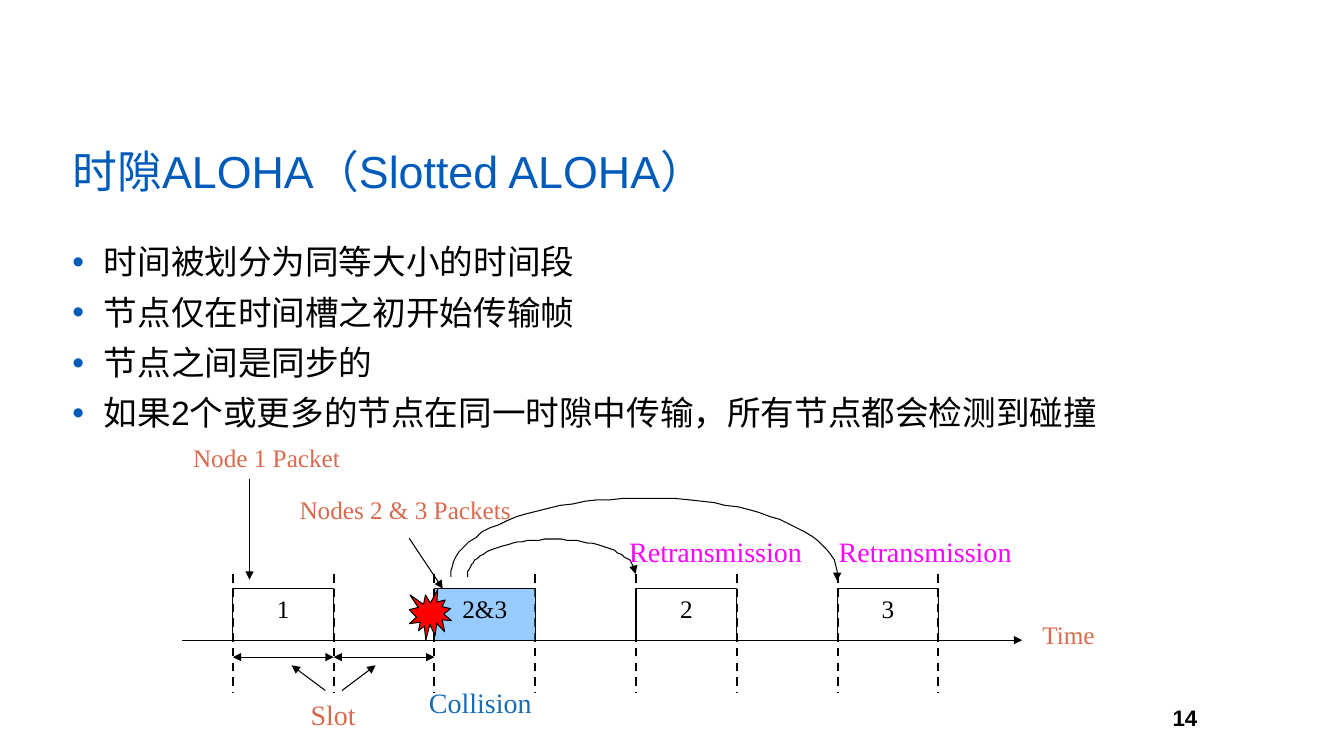
import math

from lxml import etree
from pptx import Presentation
from pptx.dml.color import RGBColor
from pptx.enum import dml, shapes, text
from pptx.oxml.ns import qn
from pptx.util import Pt

SERIF, SANS = "Times New Roman", "Arial"
BLACK, BLUE, ORANGE, MAGENTA = "000000", "005BBB", "D86A4E", "FF00FF"

# Timeline geometry in points
SLOT = 72
FIRST_SLOT = 166.3
AXIS_Y = 457.2
PACKET_TOP = 420.5
MARKER_TOP, MARKER_BOTTOM = 410.2, 494.5
SPAN_Y = 469.4


def slot_x(index):
    return FIRST_SLOT + SLOT * index


def color(value):
    return RGBColor.from_string(value)


def apply_format(target, values):
    for name, value in values.items():
        setattr(target, name, value)


def write_paragraph(paragraph, words, size, font_color, font=SANS, bold=False, **layout):
    apply_format(paragraph, layout)
    run = paragraph.add_run()
    run.text = words
    apply_format(run.font, {"name": font, "size": Pt(size), "bold": bold})
    run.font.color.rgb = color(font_color)


def add_bullet(paragraph, indent):
    properties = paragraph._p.get_or_add_pPr()
    properties.set("marL", str(Pt(indent)))
    properties.set("indent", str(-Pt(indent)))
    bullet_color = etree.SubElement(properties, qn("a:buClr"))
    etree.SubElement(bullet_color, qn("a:srgbClr"), val=BLUE)
    etree.SubElement(properties, qn("a:buFont"), typeface=SANS)
    etree.SubElement(properties, qn("a:buChar"), char="•")


def add_box(slide, left, top, width, height, **frame_format):
    box = slide.shapes.add_textbox(Pt(left), Pt(top), Pt(width), Pt(height))
    apply_format(box.text_frame, {"word_wrap": True, **frame_format})
    return box.text_frame


def add_label(slide, words, left, top, width, height, size, font_color):
    frame = add_box(slide, left, top, width, height)
    write_paragraph(frame.paragraphs[0], words, size, font_color, SERIF,
                    alignment=text.PP_ALIGN.CENTER)


def add_arrowheads(line, ends):
    for end in ends:
        etree.SubElement(line._get_or_add_ln(), qn(f"a:{end}"), type="triangle")


def style_line(line, width=0.75):
    line.color.rgb = color(BLACK)
    line.width = Pt(width)


def add_line(slide, start, end, ends=(), width=0.75, dashed=False):
    connector = slide.shapes.add_connector(
        shapes.MSO_CONNECTOR.STRAIGHT, *(Pt(value) for value in (*start, *end)))
    style_line(connector.line, width)
    if dashed:
        connector.line.dash_style = dml.MSO_LINE.DASH
    add_arrowheads(connector.line, ends)
    etree.SubElement(connector._element.spPr, qn("a:effectLst"))


def add_preset(slide, kind, left, top, width, height, fill=None, opacity=100):
    shape = slide.shapes.add_shape(kind, Pt(left), Pt(top), Pt(width), Pt(height))
    shape.shadow.inherit = False
    style_line(shape.line)
    if fill:
        shape.fill.solid()
        shape.fill.fore_color.rgb = color(fill)
        if opacity < 100:
            fill_color = shape._element.spPr.find(f".//{qn('a:srgbClr')}")
            etree.SubElement(fill_color, qn("a:alpha"), val=str(opacity * 1000))
    else:
        shape.fill.background()
    return shape


def add_packet(slide, words, index, fill=None, opacity=100):
    shape = add_preset(slide, shapes.MSO_SHAPE.RECTANGLE, slot_x(index), PACKET_TOP,
                       SLOT, AXIS_Y - PACKET_TOP, fill, opacity)
    shape.text_frame.vertical_anchor = text.MSO_ANCHOR.TOP
    write_paragraph(shape.text_frame.paragraphs[0], words, 18, BLACK, SERIF,
                    alignment=text.PP_ALIGN.CENTER)


def add_retransmission_arc(slide, left, right, top, start_angle, end_angle, steps=48):
    """Upper part of an ellipse centred on the marker tops, angles in degrees."""
    center, radius, rise = (left + right) / 2, (right - left) / 2, MARKER_TOP - top
    points = []
    for step in range(steps + 1):
        angle = math.radians(start_angle + (end_angle - start_angle) * step / steps)
        points.append((center + radius * math.cos(angle), MARKER_TOP - rise * math.sin(angle)))
    builder = slide.shapes.build_freeform(*points[0], scale=Pt(1))
    builder.add_line_segments(points[1:], close=False)
    arc = builder.convert_to_shape()
    arc.shadow.inherit = False
    arc.fill.background()
    style_line(arc.line)
    add_arrowheads(arc.line, ["tailEnd"])


def add_text_content(slide):
    number = add_box(slide, 807.8, 491.8, 56.9, 41.8, vertical_anchor=text.MSO_ANCHOR.MIDDLE,
                     margin_left=Pt(9.4), margin_right=Pt(9.4))
    write_paragraph(number.paragraphs[0], "14", 16, BLACK, bold=True,
                    alignment=text.PP_ALIGN.RIGHT)

    title = add_box(slide, 44.6, 103.7, 828, 68.4)
    write_paragraph(title.paragraphs[0], "时隙ALOHA（Slotted ALOHA）", 32, BLUE, line_spacing=0.9)

    body = add_box(slide, 44.6, 172.1, 828, 303.1)
    points = ["时间被划分为同等大小的时间段", "节点仅在时间槽之初开始传输帧", "节点之间是同步的",
              "如果2个或更多的节点在同一时隙中传输，所有节点都会检测到碰撞"]
    for index, words in enumerate(points):
        paragraph = body.add_paragraph() if index else body.paragraphs[0]
        add_bullet(paragraph, 22.5)
        write_paragraph(paragraph, words, 24, BLACK, line_spacing=0.9,
                        space_before=Pt(10 if index else 0))


def add_timeline(slide):
    # Slot boundaries and time axis
    for index in range(8):
        x = slot_x(index)
        add_line(slide, (x, MARKER_TOP), (x, MARKER_BOTTOM), width=1.5, dashed=True)
    add_line(slide, (130.3, AXIS_Y), (730.1, AXIS_Y), ["tailEnd"])

    # Packets and the collision burst
    add_packet(slide, "1", 0)
    add_packet(slide, "2&3", 2, "3399FF", 50)
    add_packet(slide, "2", 4)
    add_packet(slide, "3", 6)
    add_preset(slide, shapes.MSO_SHAPE.EXPLOSION1, 292.3, 421.2, 30.2, 36, "FF0000")

    # Retransmission arcs
    add_retransmission_arc(slide, 334.3, slot_x(4), 385.2, 183, 0)
    add_retransmission_arc(slide, 322.1, slot_x(6), 355.7, 182, -5)

    # Slot widths and pointers
    for index in range(2):
        add_line(slide, (slot_x(index), SPAN_Y), (slot_x(index + 1), SPAN_Y),
                 ["headEnd", "tailEnd"])
    for side in (-1, 1):
        add_line(slide, (slot_x(1) + 6 * side, 493.2), (slot_x(1) + 30 * side, 475.2),
                 ["tailEnd"])
    add_line(slide, (178.2, 342), (178.2, 414), ["tailEnd"])
    add_line(slide, (292.3, 384.5), (316.3, PACKET_TOP), ["tailEnd"])

    # Labels
    for label in [
        ("Time", 730.1, 438.5, 66.2, 36, 18, ORANGE),
        ("Collision", 280.1, 486, 126, 31, 20, "186BB7"),
        ("Retransmission", 442.1, 378, 138.2, 31, 20, MAGENTA),
        ("Retransmission", 591.8, 378, 138.2, 31, 20, MAGENTA),
        ("Slot", 208.1, 494.6, 59.8, 31, 20, ORANGE),
        ("Node 1 Packet", 130.3, 312.5, 120.2, 28.8, 18, ORANGE),
        ("Nodes 2 & 3 Packets", 202.3, 349.2, 174.2, 28.8, 18, ORANGE),
    ]:
        add_label(slide, *label)


def main():
    presentation = Presentation()
    presentation.slide_width, presentation.slide_height = Pt(960), Pt(540)
    slide = presentation.slides.add_slide(presentation.slide_layouts[6])
    add_text_content(slide)
    add_timeline(slide)
    presentation.save("out.pptx")


if __name__ == "__main__":
    main()
